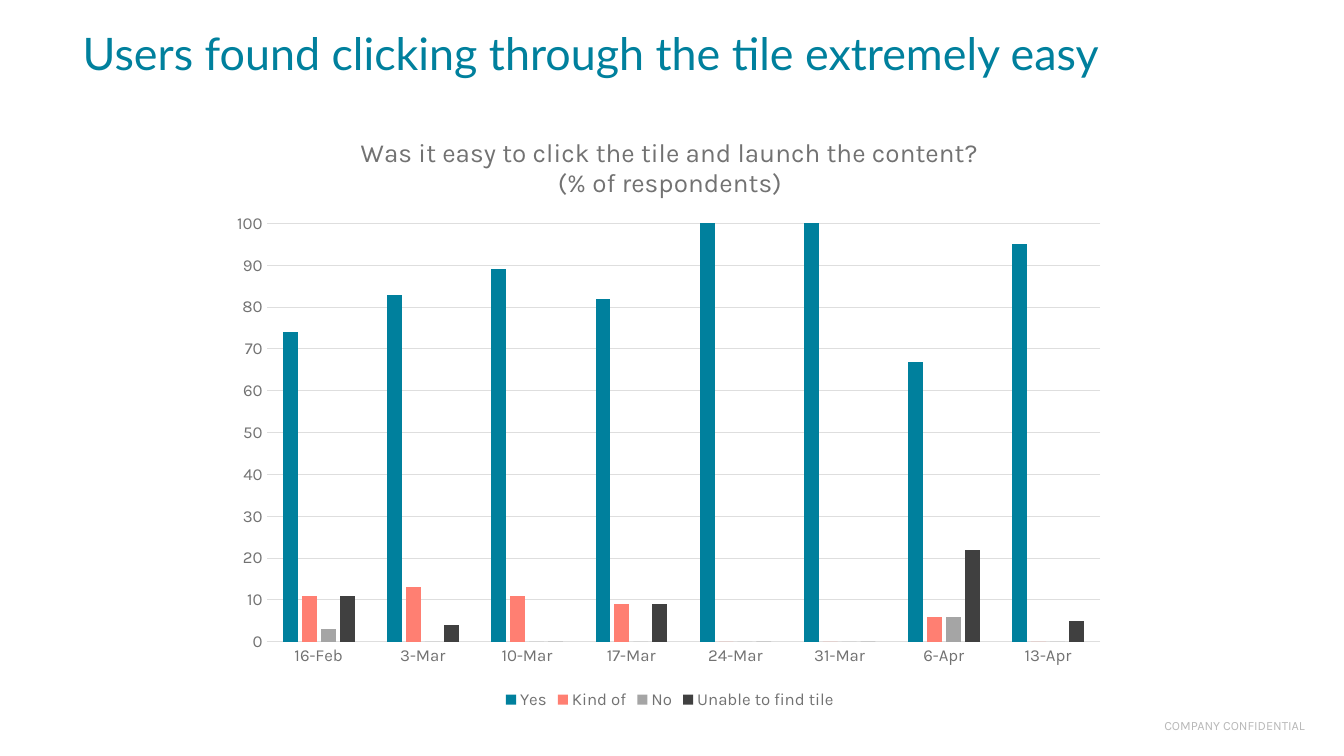
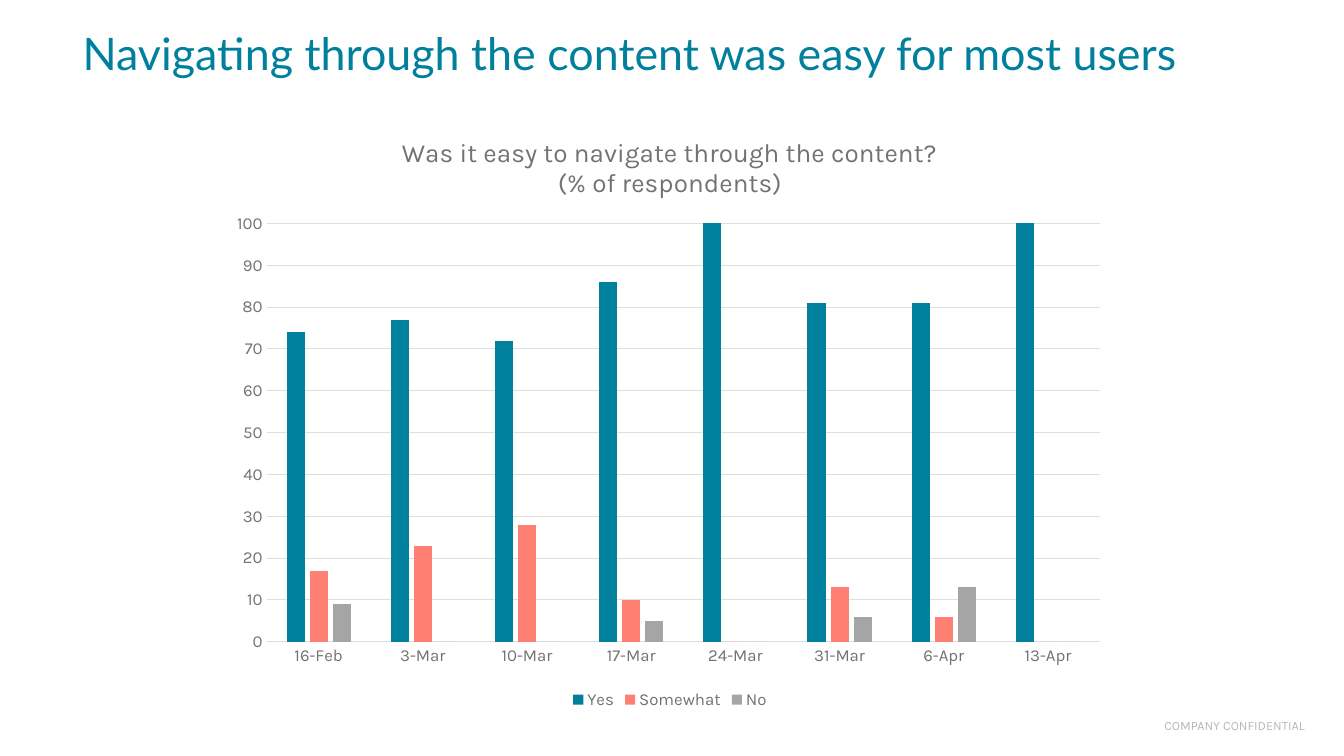
from lxml import etree
from pptx import Presentation
from pptx.chart.data import CategoryChartData
from pptx.dml.color import RGBColor
from pptx.enum import chart as ch, text
from pptx.oxml import parse_xml
from pptx.oxml.ns import nsdecls, qn
from pptx.util import Inches, Pt

TEAL = RGBColor(0x00, 0x80, 0x9D)
CORAL = RGBColor(0xFF, 0x7F, 0x72)
SILVER = RGBColor(0xA5, 0xA5, 0xA5)
CHARCOAL = RGBColor(0x40, 0x40, 0x40)
GRAY = RGBColor(0x72, 0x72, 0x72)
RULE = RGBColor(0xDE, 0xDE, 0xDE)
SERIES_COLORS = (TEAL, CORAL, SILVER, CHARCOAL)

HEAD_FONT, BODY_FONT = "Lato", "Karla"
FOOTER = "COMPANY CONFIDENTIAL"
UNIT = "(% of respondents)"
DATES = ("16-Feb", "3-Mar", "10-Mar", "17-Mar", "24-Mar", "31-Mar", "6-Apr", "13-Apr")
PLOT = {"x": 0.05, "y": 0.18, "w": 0.93, "h": 0.7}

SLIDES = [
    {
        "title": "Users found clicking through the tile extremely easy",
        "question": "Was it easy to click the tile and launch the content?",
        "answers": {
            "Yes": (74, 83, 89, 82, 100, 100, 67, 95),
            "Kind of": (11, 13, 11, 9, 0, 0, 6, 0),
            "No": (3, 0, 0, 0, 0, 0, 6, 0),
            "Unable to find tile": (11, 4, 0, 9, 0, 0, 22, 5),
        },
    },
    {
        "title": "Navigating through the content was easy for most users",
        "question": "Was it easy to navigate through the content?",
        "answers": {
            "Yes": (74, 77, 72, 86, 100, 81, 81, 100),
            "Somewhat": (17, 23, 28, 10, 0, 13, 6, 0),
            "No": (9, 0, 0, 5, 0, 6, 13, 0),
        },
    },
]


def style(font, size, color=GRAY, name=BODY_FONT):
    font.name, font.size, font.bold = name, Pt(size), False
    font.color.rgb = color


def add_text(page, words, left, top, width, height, pad=0):
    box = page.shapes.add_textbox(Inches(left), Inches(top), Inches(width), Inches(height))
    frame = box.text_frame
    frame.margin_left = frame.margin_right = 0
    frame.margin_top = frame.margin_bottom = Inches(pad)
    frame.text = words
    return frame, frame.paragraphs[0]


def add_footer(page):
    frame, para = add_text(page, FOOTER, 11.37, 7.12, 1.57, 0.15)
    frame.word_wrap = False
    para.alignment = text.PP_ALIGN.RIGHT
    font = para.runs[0].font
    style(font, 9)
    color = next(para.runs[0]._r.iter(qn("a:srgbClr")))
    etree.SubElement(color, qn("a:alpha"), val="50000")


def add_title(page, words):
    frame, para = add_text(page, words, 0.82, 0.24, 11.5, 0.62, pad=0.05)
    frame.word_wrap = True
    frame.vertical_anchor = text.MSO_ANCHOR.MIDDLE
    para.line_spacing = 0.9
    style(para.font, 32, TEAL, HEAD_FONT)


def fix_plot_area(chart):
    """Pin the inner plot area so both charts share one grid."""
    area = chart._chartSpace.chart.plotArea
    for layout in area.findall(qn("c:layout")):
        area.remove(layout)
    sizes = "".join(f'<c:{key} val="{value}"/>' for key, value in PLOT.items())
    area.insert(0, parse_xml(
        f'<c:layout {nsdecls("c")}><c:manualLayout><c:layoutTarget val="inner"/>'
        f'<c:xMode val="edge"/><c:yMode val="edge"/>{sizes}</c:manualLayout></c:layout>'))


def style_axes(chart):
    for axis in (chart.category_axis, chart.value_axis):
        axis.major_tick_mark = axis.minor_tick_mark = ch.XL_TICK_MARK.NONE
        style(axis.tick_labels.font, 12)
    values = chart.value_axis
    values.minimum_scale, values.maximum_scale, values.major_unit = 0, 100, 10
    values.format.line.fill.background()
    for line in (chart.category_axis.format.line, values.major_gridlines.format.line):
        line.color.rgb, line.width = RULE, Pt(0.75)


def add_survey_chart(page, question, answers):
    data = CategoryChartData()
    data.categories = DATES
    for name, shares in answers.items():
        data.add_series(name, shares)
    chart = page.shapes.add_chart(
        ch.XL_CHART_TYPE.COLUMN_CLUSTERED,
        Inches(2.2), Inches(1.15), Inches(8.89), Inches(5.93), data).chart
    style(chart.font, 12)

    chart.has_title = True
    frame = chart.chart_title.text_frame
    frame.text = f"{question}\n{UNIT}"
    for para in frame.paragraphs:
        style(para.font, 18.6)
        style(para.runs[0].font, 18.6)
    chart.chart_title.include_in_layout = False

    chart.has_legend = True
    chart.legend.position = ch.XL_LEGEND_POSITION.BOTTOM
    chart.legend.include_in_layout = False
    style(chart.legend.font, 12)

    plot = chart.plots[0]
    plot.gap_width, plot.overlap, plot.vary_by_categories = 219, -27, False
    for series, color in zip(plot.series, SERIES_COLORS):
        series.format.fill.solid()
        series.format.fill.fore_color.rgb = color
    style_axes(chart)
    fix_plot_area(chart)


def main():
    deck = Presentation()
    deck.slide_width, deck.slide_height = Inches(13.33), Inches(7.5)
    for content in SLIDES:
        page = deck.slides.add_slide(deck.slide_layouts[6])
        add_footer(page)
        add_title(page, content["title"])
        add_survey_chart(page, content["question"], content["answers"])
    deck.save("out.pptx")


if __name__ == "__main__":
    main()
